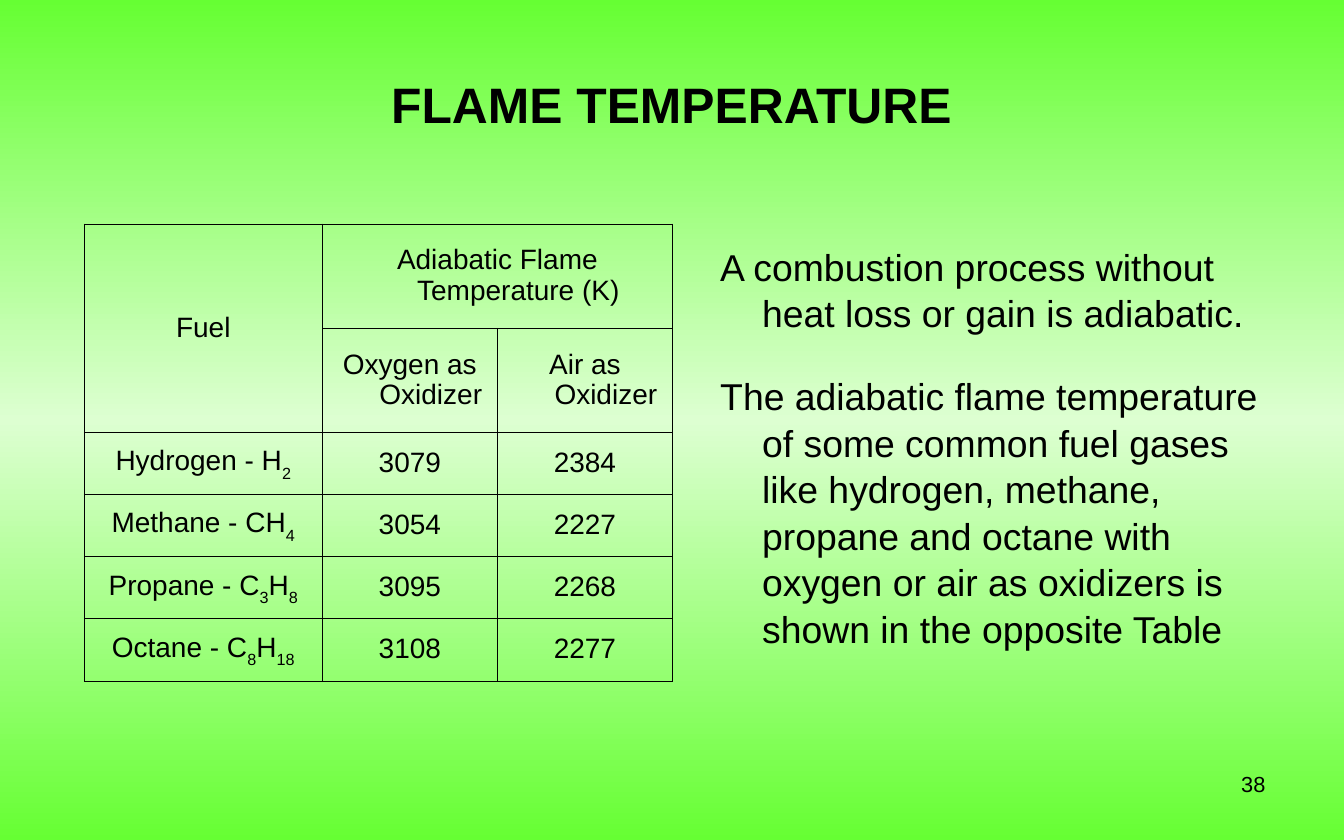
from copy import deepcopy
from dataclasses import dataclass
from itertools import groupby

from lxml.etree import SubElement
from pptx import Presentation
from pptx.dml.color import RGBColor
from pptx.enum.text import MSO_ANCHOR as Anchor, MSO_AUTO_SIZE as AutoSize, PP_ALIGN as Align
from pptx.oxml.ns import qn
from pptx.util import Cm, Pt


@dataclass(frozen=True)
class Theme:
    font: str = "Arial"
    ink: RGBColor = RGBColor(0x00, 0x00, 0x00)
    edge: RGBColor = RGBColor(0x66, 0xFF, 0x33)
    middle: RGBColor = RGBColor(0xDD, 0xFF, 0xD1)
    title: Pt = Pt(32)
    body: Pt = Pt(24)
    table: Pt = Pt(18)
    number: Pt = Pt(14)
    border: Pt = Pt(0.45)


theme = Theme()


def style(paragraph, size, align, bold=False, hanging=Cm(0), spacing=None):
    """Set the indent, alignment and font of a whole paragraph."""
    properties = paragraph._p.get_or_add_pPr()
    properties.set("marL", str(hanging))
    properties.set("indent", str(-hanging))
    SubElement(properties, qn("a:buNone"))
    paragraph.alignment = align
    if spacing:
        paragraph.line_spacing = spacing
    font = paragraph.font
    font.name, font.size, font.bold = theme.font, size, bold
    font.color.rgb = theme.ink


def add_borders(cell):
    """Draw a thin line on all four sides of a table cell."""
    properties = cell._tc.get_or_add_tcPr()
    for side in ("a:lnL", "a:lnR", "a:lnT", "a:lnB"):
        line = SubElement(properties, qn(side), w=str(theme.border))
        fill = SubElement(line, qn("a:solidFill"))
        SubElement(fill, qn("a:srgbClr"), val=str(theme.ink))


deck = Presentation()
deck.slide_width, deck.slide_height = Cm(30.48), Cm(19.05)
slide = deck.slides.add_slide(deck.slide_layouts[1])
hanging = Cm(0.95)

# Background: green fading to pale in the middle
background = slide.background.fill
background.gradient()
background.gradient_angle = 90
stops = slide._element.find(".//" + qn("a:gsLst"))
stops.insert(1, deepcopy(stops[0]))
for stop, position, color in zip(background.gradient_stops, (0, 0.5, 1),
                                 (theme.edge, theme.middle, theme.edge)):
    stop.position = position
    stop.color.rgb = color

# Title
title = slide.shapes.title
title.left, title.top, title.width, title.height = Cm(1.52), Cm(0.76), Cm(27.43), Cm(3.18)
title.text_frame.text = "FLAME TEMPERATURE"
title.text_frame.vertical_anchor = Anchor.MIDDLE
title.text_frame.auto_size = AutoSize.NONE
style(title.text_frame.paragraphs[0], theme.title, Align.CENTER, bold=True)

# Explanation
explanation = slide.placeholders[1]
explanation.left, explanation.top = Cm(16.08), Cm(5.36)
explanation.width, explanation.height = Cm(13.13), Cm(12.5)
explanation.text_frame.auto_size = AutoSize.NONE
explanation.text_frame.text = (
    "A combustion process without heat loss or gain is adiabatic.\n"
    "The adiabatic flame temperature of some common fuel gases like hydrogen, "
    "methane, propane and octane with oxygen or air as oxidizers is shown in "
    "the opposite Table"
)
for paragraph, gap in zip(explanation.text_frame.paragraphs, (Pt(0), Pt(23.5))):
    style(paragraph, theme.body, Align.LEFT, hanging=hanging, spacing=1.04)
    paragraph.space_before = gap

# Flame temperature table
rows = [
    ("Fuel", "Adiabatic Flame Temperature (K)", ""),
    ("", "Oxygen as Oxidizer", "Air as Oxidizer"),
    ("Hydrogen - H2", "3079", "2384"),
    ("Methane - CH4", "3054", "2227"),
    ("Propane - C3H8", "3095", "2268"),
    ("Octane - C8H18", "3108", "2277"),
]
column_widths = [Cm(5.4), Cm(3.97), Cm(3.97)]
row_heights = [Cm(2.36)] * 2 + [Cm(1.41)] * 4
temperatures = slide.shapes.add_table(len(rows), len(column_widths), Cm(1.91), Cm(5.08),
                                      sum(column_widths), sum(row_heights)).table
temperatures.first_row = temperatures.horz_banding = False
for column, width in zip(temperatures.columns, column_widths):
    column.width = width
for row, height in zip(temperatures.rows, row_heights):
    row.height = height
temperatures.cell(0, 0).merge(temperatures.cell(1, 0))
temperatures.cell(0, 1).merge(temperatures.cell(0, 2))

for r, texts in enumerate(rows):
    for c, text in enumerate(texts):
        cell = temperatures.cell(r, c)
        add_borders(cell)
        cell.fill.background()
        cell.vertical_anchor = Anchor.MIDDLE
        entry = cell.text_frame.paragraphs[0]
        style(entry, theme.table, Align.CENTER, hanging=hanging, spacing=0.96)
        # Digits in the fuel column are formula subscripts
        for is_digit, characters in groupby(text, str.isdigit):
            run = entry.add_run()
            run.text = "".join(characters)
            if is_digit and c == 0:
                run.font._element.set("baseline", "-30000")

# Slide number
number = slide.shapes.add_textbox(Cm(21.84), Cm(17.35), Cm(7.11), Cm(1.32)).text_frame
number.word_wrap = True
number.text = "38"
style(number.paragraphs[0], theme.number, Align.RIGHT)

deck.save("out.pptx")
